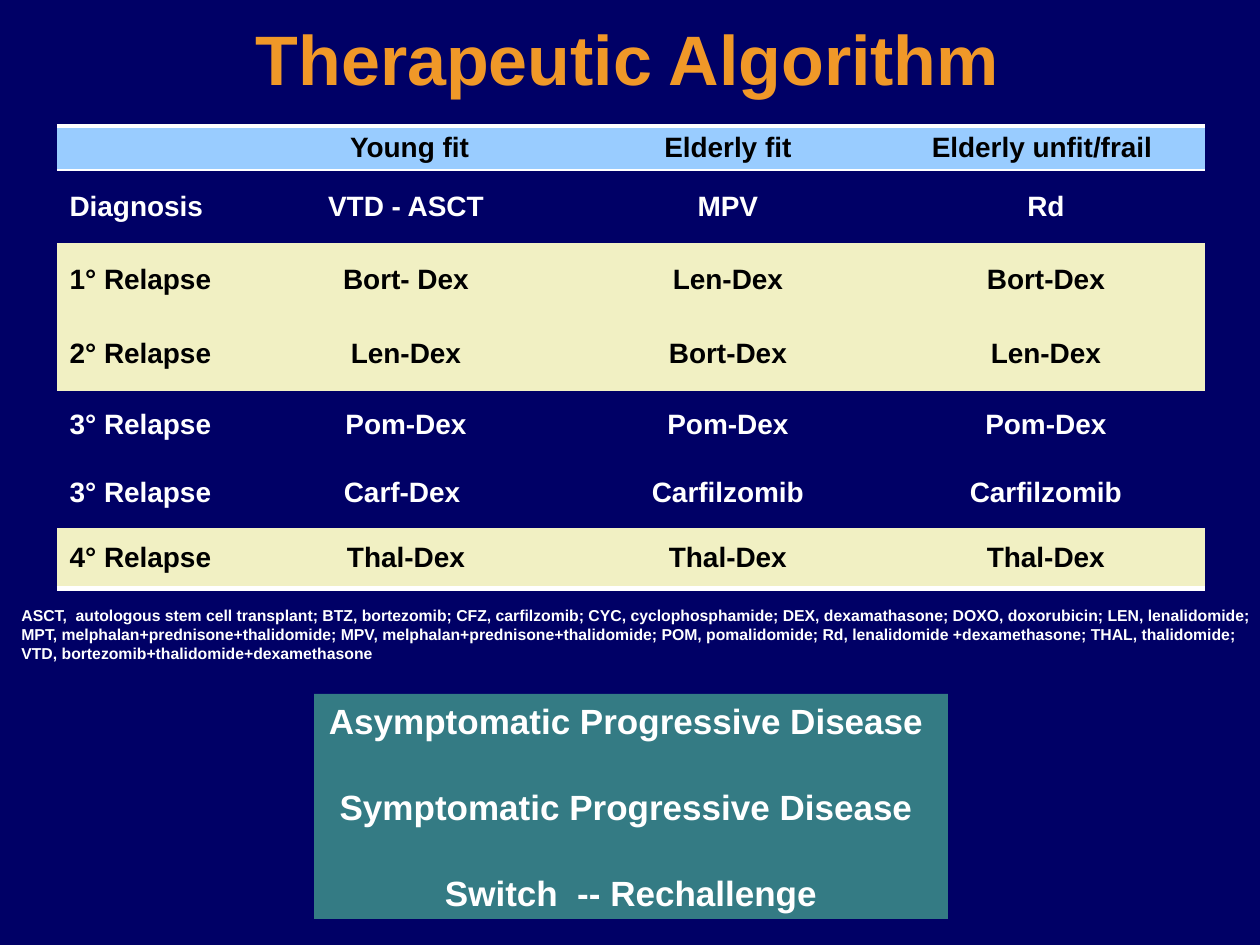
from lxml import etree
from pptx import Presentation
from pptx.dml.color import RGBColor
from pptx.enum.shapes import MSO_SHAPE
from pptx.enum.text import MSO_ANCHOR as Anchor, PP_ALIGN as Align
from pptx.oxml.ns import qn
from pptx.util import Emu, Pt

NAVY = RGBColor(0x00, 0x00, 0x66)
ORANGE = RGBColor(0xF0, 0x98, 0x28)
SKY = RGBColor(0x99, 0xCC, 0xFF)
CREAM = RGBColor(0xF1, 0xF0, 0xC3)
TEAL = RGBColor(0x34, 0x7B, 0x84)
WHITE = RGBColor(0xFF, 0xFF, 0xFF)
BLACK = RGBColor(0x00, 0x00, 0x00)

# Content
TITLE = "Therapeutic Algorithm"
COLUMN_WIDTHS = [186, 326, 318, 318]
# height, fill, text colour, (top, bottom) border points, cells
THERAPIES = [
    (44, SKY, BLACK, (3, 1), ["", " Young fit", " Elderly fit ", "Elderly unfit/frail "]),
    (73, None, WHITE, (1, 0), ["Diagnosis", "VTD - ASCT", "MPV", "Rd"]),
    (74, CREAM, BLACK, (0, 0), ["1° Relapse", "Bort- Dex", "Len-Dex", "Bort-Dex"]),
    (74, CREAM, BLACK, (0, 0), ["2° Relapse", "Len-Dex", "Bort-Dex", "Len-Dex"]),
    (68, None, WHITE, (0, 0), ["3° Relapse", "Pom-Dex", "Pom-Dex", "Pom-Dex"]),
    (69, None, WHITE, (0, 0), ["3° Relapse", "Carf-Dex ", "Carfilzomib", "Carfilzomib"]),
    (61, CREAM, BLACK, (0, 3), ["4° Relapse", "Thal-Dex", "Thal-Dex", "Thal-Dex"]),
]
ABBREVIATIONS = (
    "ASCT,  autologous stem cell transplant; BTZ, bortezomib; CFZ, carfilzomib; "
    "CYC, cyclophosphamide; DEX, dexamathasone; DOXO, doxorubicin; LEN, lenalidomide; "
    "MPT, melphalan+prednisone+thalidomide; MPV, melphalan+prednisone+thalidomide; "
    "POM, pomalidomide; Rd, lenalidomide +dexamethasone; THAL, thalidomide; "
    "VTD, bortezomib+thalidomide+dexamethasone"
)
STRATEGIES = [
    "Asymptomatic Progressive Disease ",
    "Symptomatic Progressive Disease ",
    "Switch  -- Rechallenge",
]


def px(n):
    return Emu(round(n * 914400 / 126))


def box(*lengths):
    return [px(n) for n in lengths]


def write(paragraph, text, size, color, align=Align.LEFT):
    paragraph.alignment = align
    run = paragraph.add_run()
    run.text = text
    for key, value in {"name": "Arial", "size": Pt(size), "bold": True}.items():
        setattr(run.font, key, value)
    run.font.color.rgb = color
    return run


def add_shadow(run):
    effects = etree.SubElement(run.font._element, qn("a:effectLst"))
    shadow = etree.SubElement(effects, qn("a:outerShdw"), dist="38100", dir="2700000")
    etree.SubElement(shadow, qn("a:srgbClr"), val=str(BLACK))
    # Effects come after the fill and before the typeface
    run.font._element.find(qn("a:solidFill")).addnext(effects)


def set_borders(cell, top, bottom):
    properties = cell._tc.get_or_add_tcPr()
    for side, points in zip("LRTB", (0, 0, top, bottom)):
        line = etree.SubElement(properties, qn(f"a:ln{side}"), w=str(Pt(points)))
        if points:
            fill = etree.SubElement(line, qn("a:solidFill"))
            etree.SubElement(fill, qn("a:srgbClr"), val=str(WHITE))
        else:
            etree.SubElement(line, qn("a:noFill"))


prs = Presentation()
prs.slide_width, prs.slide_height = box(1260, 945)
slide = prs.slides.add_slide(prs.slide_layouts[5])
slide.background.fill.solid()
slide.background.fill.fore_color.rgb = NAVY

# Title
title = slide.shapes.title
title.left, title.top, title.width, title.height = box(26, 30, 1203, 66)
title.text_frame.vertical_anchor = Anchor.MIDDLE
heading = title.text_frame.paragraphs[0]
heading.line_spacing = 0.9
add_shadow(write(heading, TITLE, 40, ORANGE, Align.CENTER))

# Therapy table
table_height = sum(row[0] for row in THERAPIES)
therapy_table = slide.shapes.add_table(
    len(THERAPIES), len(COLUMN_WIDTHS), *box(57, 126, sum(COLUMN_WIDTHS), table_height)
).table
therapy_table.first_row = therapy_table.horz_banding = False
for column, width in zip(therapy_table.columns, COLUMN_WIDTHS):
    column.width = px(width)
for row, (height, fill, color, borders, texts) in zip(therapy_table.rows, THERAPIES):
    row.height = px(height)
    for index, (cell, text) in enumerate(zip(row.cells, texts)):
        cell.vertical_anchor = Anchor.MIDDLE
        cell.margin_top = cell.margin_bottom = 0
        set_borders(cell, *borders)
        if fill:
            cell.fill.solid()
            cell.fill.fore_color.rgb = fill
        else:
            cell.fill.background()
        if text:
            align = Align.CENTER if index else Align.LEFT
            write(cell.text_frame.paragraphs[0], text, 16, color, align)

# Treatment strategies
strategy_panel = slide.shapes.add_shape(MSO_SHAPE.RECTANGLE, *box(314, 694, 634, 225))
strategy_panel.shadow.inherit = False
strategy_panel.fill.solid()
strategy_panel.fill.fore_color.rgb = TEAL
strategy_panel.line.fill.background()
strategy_frame = strategy_panel.text_frame
strategy_frame.word_wrap = False
strategy_frame.vertical_anchor = Anchor.MIDDLE
for index, strategy in enumerate(STRATEGIES):
    paragraph = strategy_frame.add_paragraph() if index else strategy_frame.paragraphs[0]
    if index:
        paragraph.space_before = Pt(25)
    write(paragraph, strategy, 20, WHITE, Align.CENTER)

# Abbreviations
abbreviation_frame = slide.shapes.add_textbox(*box(9, 600, 1251, 70)).text_frame
abbreviation_frame.word_wrap = True
abbreviation_frame.margin_right = 0
write(abbreviation_frame.paragraphs[0], ABBREVIATIONS, 9, WHITE)

prs.save("out.pptx")
